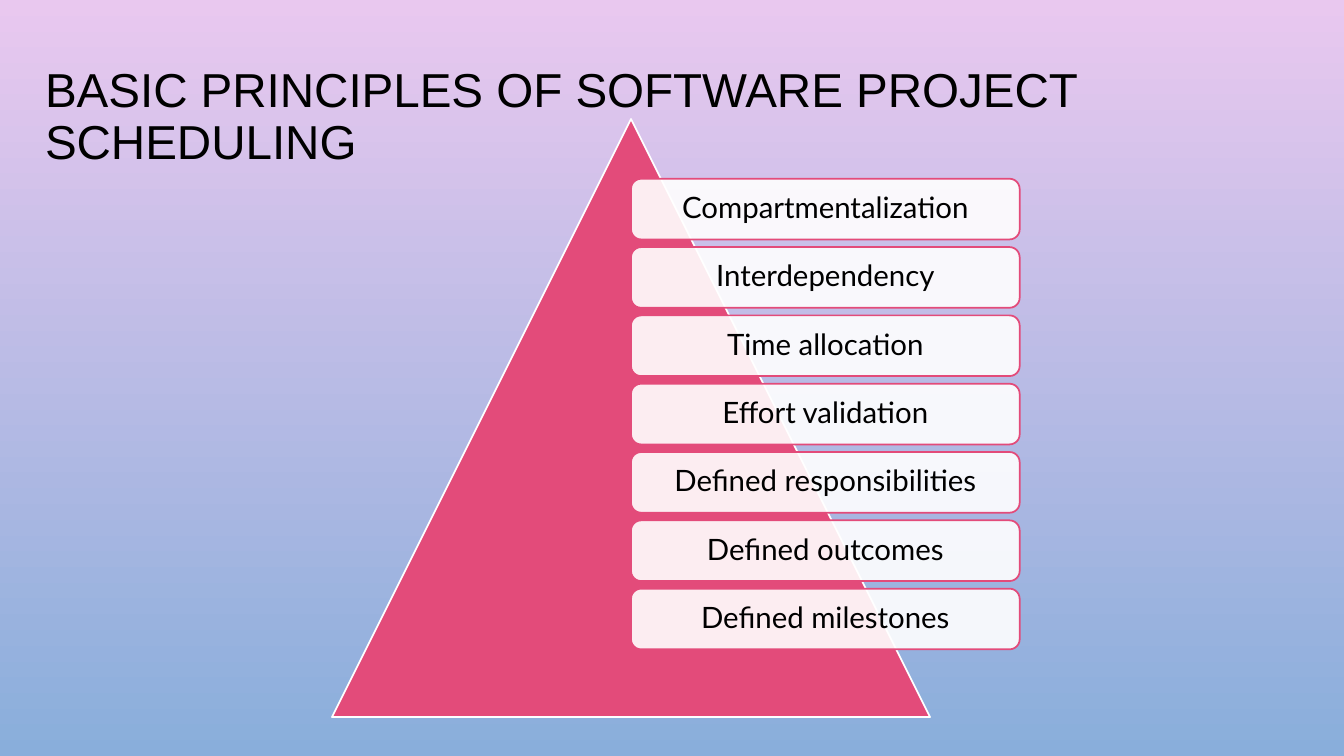
from dataclasses import dataclass

from lxml.etree import SubElement
from pptx import Presentation
from pptx.dml.color import RGBColor
from pptx.enum.shapes import MSO_SHAPE
from pptx.enum.text import MSO_ANCHOR, PP_ALIGN
from pptx.oxml.ns import qn
from pptx.util import Emu, Pt


@dataclass(frozen=True)
class Theme:
    top: str = "E9C8EF"
    bottom: str = "89AEDB"
    accent: str = "E34B7A"
    light: str = "FFFFFF"
    ink: str = "000000"
    title_font: str = "Arial"
    body_font: str = "Lato"
    title_size: int = 34
    body_size: int = 21
    line_width: float = 1.25
    card_opacity: int = 90


THEME = Theme()
SLIDE_W, SLIDE_H = 1344, 756
PRINCIPLES = [
    "Compartmentalization",
    "Interdependency",
    "Time allocation",
    "Effort validation",
    "Defined responsibilities",
    "Defined outcomes",
    "Defined milestones",
]


def px(n):
    return Emu(round(n * 914400 / 100.8))


def rgb(color):
    return RGBColor.from_string(color)


def write(shape, text, font, size, align, inset_x, inset_y):
    tf = shape.text_frame
    tf.word_wrap = True
    tf.vertical_anchor = MSO_ANCHOR.MIDDLE
    tf.margin_left = tf.margin_right = px(inset_x)
    tf.margin_top = tf.margin_bottom = px(inset_y)
    p = tf.paragraphs[0]
    p.text = text
    p.alignment = align
    p.line_spacing = 0.9
    p.font.name = font
    p.font.size = Pt(size)
    p.font.color.rgb = rgb(THEME.ink)


def add_solid(s, kind, box, fill, line):
    sp = s.shapes.add_shape(kind, *map(px, box))
    sp.shadow.inherit = False
    sp.fill.solid()
    sp.fill.fore_color.rgb = rgb(fill)
    sp.line.color.rgb = rgb(line)
    sp.line.width = Pt(THEME.line_width)
    return sp


def add_background(s):
    fill = s.background.fill
    fill.gradient()
    fill.gradient_angle = 270
    for stop, color, position in zip(fill.gradient_stops, (THEME.top, THEME.bottom), (0, 1)):
        stop.color.rgb = rgb(color)
        stop.position = position


def add_title(s, box, text):
    sp = s.shapes.add_textbox(*map(px, box))
    write(sp, text, THEME.title_font, THEME.title_size, PP_ALIGN.LEFT, 10, 5)


def add_card(s, box, text):
    sp = add_solid(s, MSO_SHAPE.ROUNDED_RECTANGLE, box, THEME.light, THEME.accent)
    color = sp.fill._xPr.find(qn("a:solidFill"))[0]
    SubElement(color, qn("a:alpha"), val=str(THEME.card_opacity * 1000))
    write(sp, text, THEME.body_font, THEME.body_size, PP_ALIGN.CENTER, 12, 9)


def add_pyramid(s, box, principles):
    x, y, w, h = box
    add_solid(s, MSO_SHAPE.ISOSCELES_TRIANGLE, box, THEME.accent, THEME.light)
    card_w = w * 0.65
    list_y, list_h = y + h * 0.1, h * 0.787
    count = len(principles)
    card_h = list_h / (count + (count - 1) / 8)
    pitch = card_h * 9 / 8
    for i, text in enumerate(principles):
        add_card(s, (x + w / 2, list_y + i * pitch, card_w, card_h), text)


def main():
    prs = Presentation()
    prs.slide_width, prs.slide_height = px(SLIDE_W), px(SLIDE_H)
    s = prs.slides.add_slide(prs.slide_layouts[6])
    add_background(s)
    add_title(s, (35, 45, 1309, 146), "BASIC PRINCIPLES OF SOFTWARE PROJECT SCHEDULING")
    add_pyramid(s, (332, 119, 598, 598), PRINCIPLES)
    prs.save("out.pptx")


if __name__ == "__main__":
    main()
